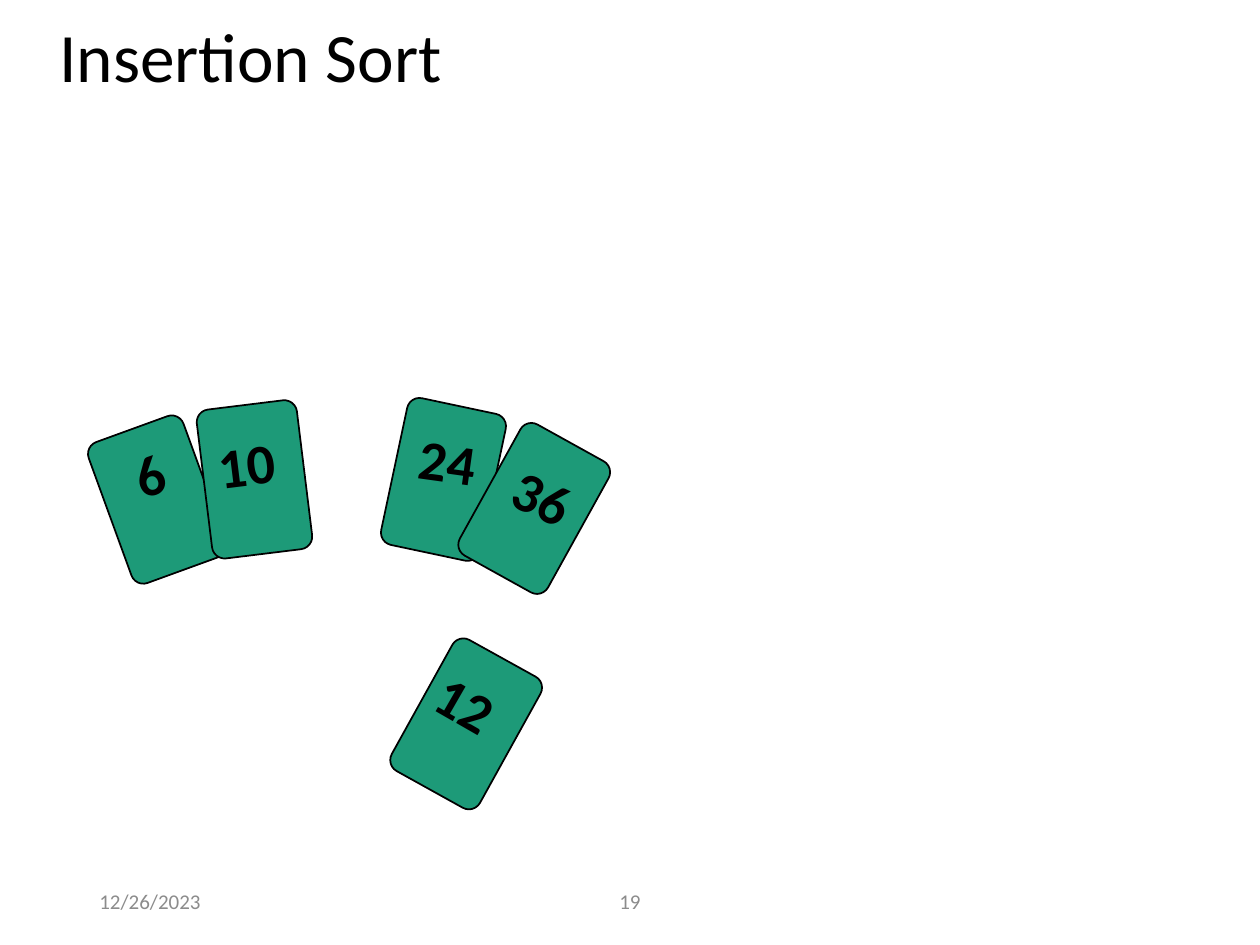
from dataclasses import dataclass

from pptx import Presentation
from pptx.dml.color import RGBColor
from pptx.enum.shapes import MSO_SHAPE
from pptx.enum.text import MSO_ANCHOR, MSO_AUTO_SIZE, PP_ALIGN
from pptx.util import Pt

ROUNDED = MSO_SHAPE.ROUNDED_RECTANGLE
LEFT, CENTER = PP_ALIGN.LEFT, PP_ALIGN.CENTER
MIDDLE, BOTTOM = MSO_ANCHOR.MIDDLE, MSO_ANCHOR.BOTTOM
FIT_SHAPE, FIT_NONE = MSO_AUTO_SIZE.SHAPE_TO_FIT_TEXT, MSO_AUTO_SIZE.NONE


@dataclass(frozen=True)
class Theme:
    font: str = "Calibri"
    ink: RGBColor = RGBColor(0x00, 0x00, 0x00)
    muted: RGBColor = RGBColor(0x8C, 0x8C, 0x8C)
    card: RGBColor = RGBColor(0x1D, 0x9A, 0x78)
    paper: RGBColor = RGBColor(0xFF, 0xFF, 0xFF)
    title_size: float = 39.6
    number_size: int = 32
    footer_size: int = 12


THEME = Theme()
SCALE = 9144
PAGE_SIZE = (1000, 750)
CARD_SIZE = (80, 119)
NUMBER_HEIGHT = 63
TITLE = ("Insertion Sort", (37, 25, 710, 57))
FOOTERS = [
    ("19", (331, 695, 338, 40), CENTER),
    ("12/26/2023", (69, 695, 225, 40), LEFT),
]
LEFT_HAND = [
    {"number": "6", "card": (85, 337, 340), "label": (97, 344, 341)},
    {"number": "10", "card": (162, 321, 353), "label": (163, 336, 353)},
]
RIGHT_HAND = [
    {"number": "24", "card": (312, 321, 12), "label": (323, 334, 8)},
    {"number": "36", "card": (384, 344, 29), "label": (398, 363, 25)},
]
DRAWN_CARD = [
    {"number": "12", "card": (330, 515, 29), "label": (337, 528, 30)},
]


def emu(*lengths):
    return [length * SCALE for length in lengths]


def write(box, text, size, color, align=LEFT, bold=False):
    para = box.text_frame.paragraphs[0]
    para.text = text
    para.alignment = align
    para.font.name = THEME.font
    para.font.size = Pt(size)
    para.font.bold = bold
    para.font.color.rgb = color
    return para


def add_card(shapes, left, top, angle):
    card = shapes.add_shape(ROUNDED, *emu(left, top, *CARD_SIZE))
    card.adjustments[0] = 0.125
    card.rotation = angle
    card.shadow.inherit = False
    card.fill.solid()
    card.fill.fore_color.rgb = THEME.card
    card.line.color.rgb = THEME.ink
    card.line.width = Pt(1)


def add_number(shapes, text, left, top, angle):
    width = 20 + 25 * len(text)
    label = shapes.add_textbox(*emu(left, top, width, NUMBER_HEIGHT))
    label.rotation = angle
    label.text_frame.word_wrap = False
    label.text_frame.auto_size = FIT_SHAPE
    write(label, text, THEME.number_size, THEME.ink, bold=True)


def add_hand(shapes, hand):
    for item in hand:
        add_card(shapes, *item["card"])
    for item in hand:
        add_number(shapes, item["number"], *item["label"])


def add_title(page, text, bounds):
    title = page.shapes.title
    title.left, title.top, title.width, title.height = emu(*bounds)
    title.text_frame.vertical_anchor = BOTTOM
    title.text_frame.auto_size = FIT_NONE
    write(title, text, THEME.title_size, THEME.ink).line_spacing = 0.9


def add_footer(page, text, bounds, align):
    box = page.shapes.add_textbox(*emu(*bounds))
    box.text_frame.word_wrap = True
    box.text_frame.vertical_anchor = MIDDLE
    write(box, text, THEME.footer_size, THEME.muted, align)


def main():
    deck = Presentation()
    deck.slide_width, deck.slide_height = emu(*PAGE_SIZE)
    page = deck.slides.add_slide(deck.slide_layouts[5])
    page.background.fill.solid()
    page.background.fill.fore_color.rgb = THEME.paper
    add_title(page, *TITLE)
    add_hand(page.shapes, LEFT_HAND)
    add_hand(page.shapes.add_group_shape().shapes, RIGHT_HAND)
    add_hand(page.shapes, DRAWN_CARD)
    for footer in FOOTERS:
        add_footer(page, *footer)
    deck.save("out.pptx")


if __name__ == "__main__":
    main()
